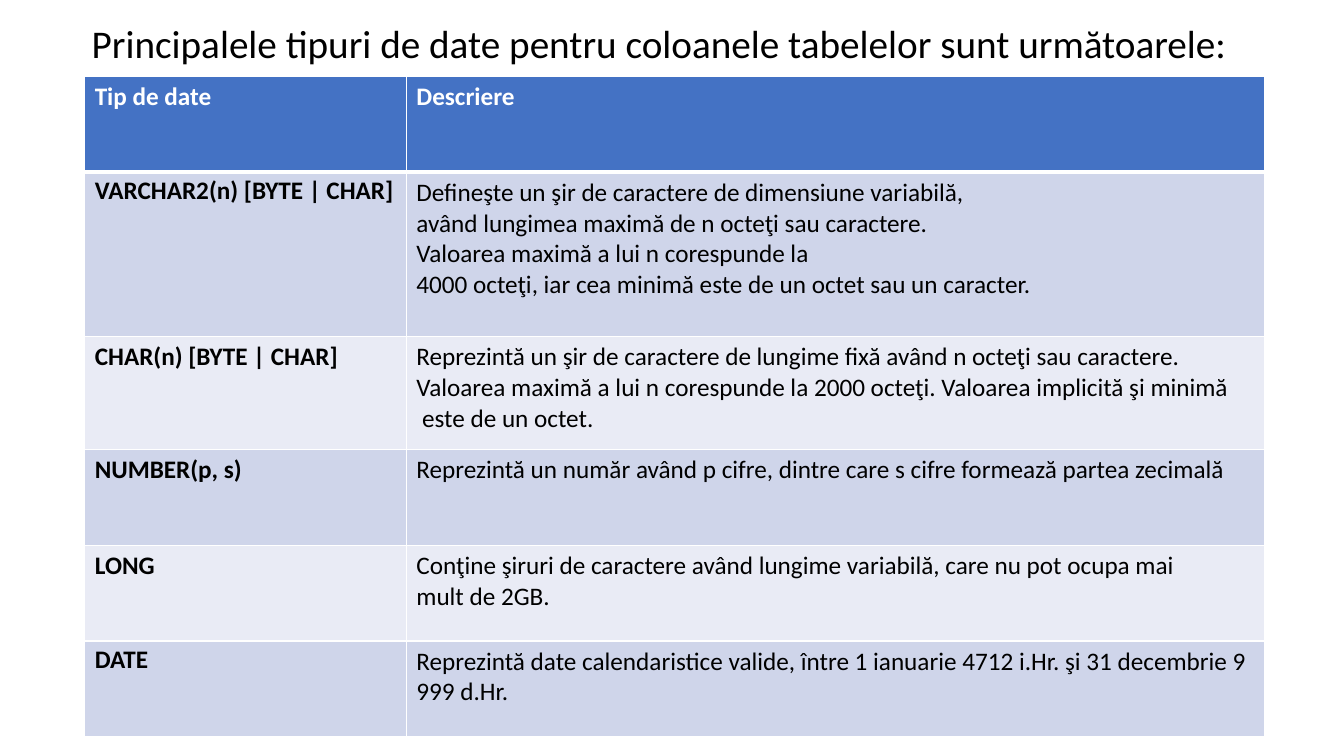
from dataclasses import dataclass

from lxml import etree
from pptx import Presentation
from pptx import util as u
from pptx.dml.color import RGBColor
from pptx.enum import text
from pptx.oxml.ns import qn

FONT = "Calibri"
BLACK, WHITE = "000000", "FFFFFF"
HEADER_FILL = "4472C4"
BAND_FILLS = ("CFD5EA", "E9EBF5")
COLUMN_WIDTHS = (3.19, 8.51)


@dataclass
class DataType:
    name: str
    lines: tuple[str, ...]  # "|" marks the only spaces where a line may break
    height: float
    tight: bool = False  # name set with narrower line spacing


HEADER = DataType("Tip de date", ("Descriere",), 0.95)
DATA_TYPES = (
    DataType("VARCHAR2(n) [BYTE | CHAR]", (
        "Defineşte un şir de caractere de dimensiune variabilă,",
        "având lungimea maximă de n octeţi sau caractere.",
        "Valoarea maximă a lui n corespunde la|4000 octeţi, "
        "iar cea minimă este de un octet sau un caracter.",
    ), 1.63, tight=True),
    DataType("CHAR(n) [BYTE | CHAR]", (
        "Reprezintă un şir de caractere de lungime fixă având n octeţi sau caractere.",
        "Valoarea maximă a lui n corespunde la 2000 octeţi. "
        "Valoarea implicită şi minimă",
        " este de|un octet.",
    ), 1.12),
    DataType("NUMBER(p, s)", (
        "Reprezintă un număr având p cifre, dintre care s cifre formează partea zecimală",
    ), 0.95),
    DataType("LONG", (
        "Conţine şiruri de caractere având lungime variabilă, care|nu|pot ocupa mai",
        "mult de|2GB.",
    ), 0.95),
    DataType("DATE", (
        "Reprezintă date calendaristice valide, "
        "între 1 ianuarie 4712 i.Hr. şi 31 decembrie 9999 d.Hr.",
    ), 0.95, tight=True),
)


def color(value: str) -> RGBColor:
    return RGBColor.from_string(value)


def add_span(para, words: str, size: float, ink: str, bold: bool = False) -> None:
    span = para.add_run()
    span.text = words
    span.font.name = FONT
    span.font.size = u.Pt(size)
    span.font.bold = bold
    span.font.color.rgb = color(ink)


def add_border(cell, side: str, width: float) -> None:
    line = etree.SubElement(cell._tc.get_or_add_tcPr(), qn(f"a:ln{side}"),
                            w=str(u.Pt(width)))
    fill = etree.SubElement(line, qn("a:solidFill"))
    etree.SubElement(fill, qn("a:srgbClr"), val=WHITE)


def fill_cell(cell, lines: tuple[str, ...], fill: str, ink: str, bold: bool,
              top: float = 1, bottom: float = 1, tight: bool = False) -> None:
    for side, width in (("L", 1), ("R", 1), ("T", top), ("B", bottom)):
        add_border(cell, side, width)
    cell.fill.solid()
    cell.fill.fore_color.rgb = color(fill)
    for index, line in enumerate(lines):
        para = cell.text_frame.paragraphs[0] if index == 0 else cell.text_frame.add_paragraph()
        if tight:
            para.line_spacing = 0.9
        add_span(para, line, 18, ink, bold)


def unbroken(line: str) -> str:
    return line.replace(" ", "\u00a0").replace("|", " ")


deck = Presentation()
deck.slide_width, deck.slide_height = u.Inches(13.33), u.Inches(7.5)
page = deck.slides.add_slide(deck.slide_layouts[5])

# Title
title = page.shapes.title
title.left, title.top = u.Inches(0.81), u.Inches(0.19)
title.width, title.height = u.Inches(11.88), u.Inches(0.55)
frame = title.text_frame
frame.word_wrap = True
frame.auto_size = text.MSO_AUTO_SIZE.NONE
frame.vertical_anchor = text.MSO_ANCHOR.TOP
heading = frame.paragraphs[0]
heading.alignment = text.PP_ALIGN.LEFT
heading.line_spacing = 0.9
add_span(heading, "Principalele tipuri de date pentru coloanele tabelelor sunt următoarele:",
         28, BLACK)

# Table of data types
rows = (HEADER, *DATA_TYPES)
table = page.shapes.add_table(
    len(rows), len(COLUMN_WIDTHS), u.Inches(0.84), u.Inches(0.76),
    u.Inches(sum(COLUMN_WIDTHS)), u.Inches(sum(row.height for row in rows))).table
table.first_row = True
table.horz_banding = False
for column, width in zip(table.columns, COLUMN_WIDTHS):
    column.width = u.Inches(width)
for index, row in enumerate(rows):
    table.rows[index].height = u.Inches(row.height)
    is_header = row is HEADER
    fill = HEADER_FILL if is_header else BAND_FILLS[(index - 1) % 2]
    ink = WHITE if is_header else BLACK
    top, bottom = (3 if index == 1 else 1), (3 if is_header else 1)
    fill_cell(table.cell(index, 0), (row.name,), fill, ink, True, top, bottom, row.tight)
    fill_cell(table.cell(index, 1), tuple(map(unbroken, row.lines)), fill, ink,
              is_header, top, bottom)

deck.save("out.pptx")
